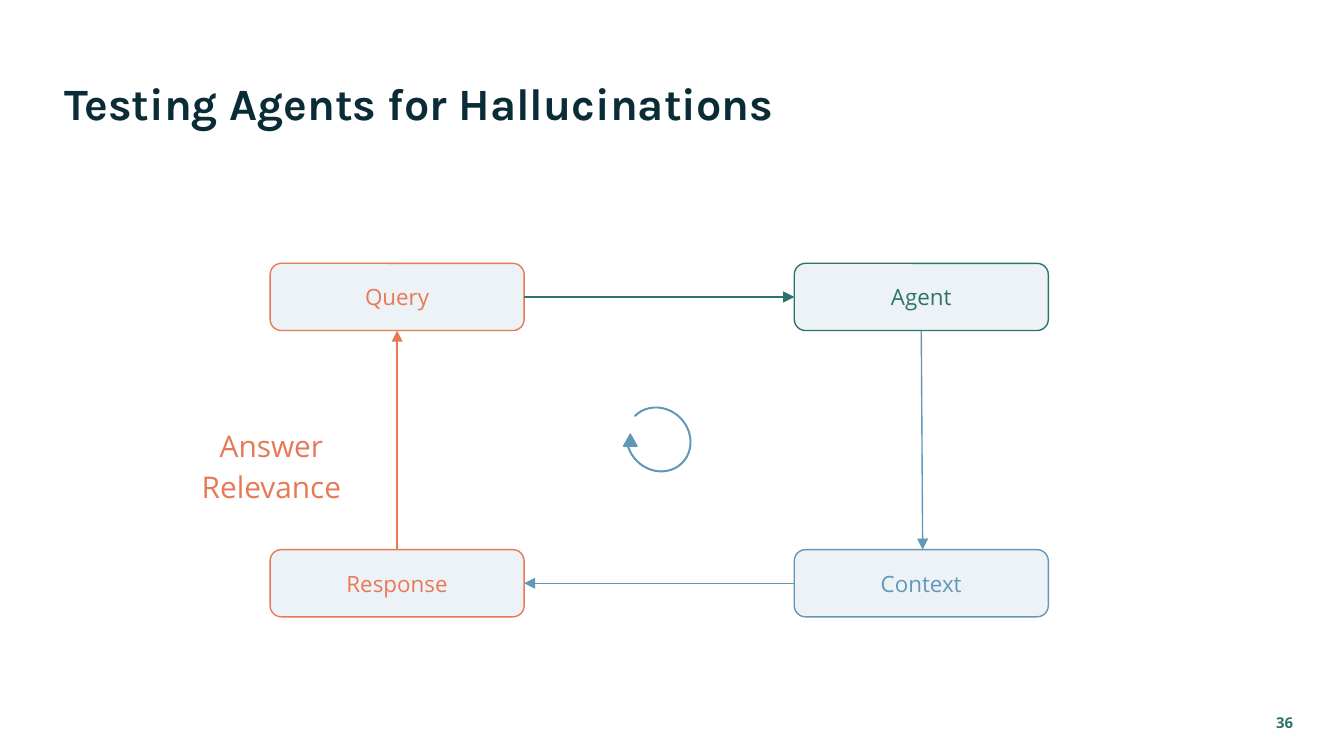
from lxml import etree
from pptx import Presentation
from pptx.dml.color import RGBColor
from pptx.enum.shapes import MSO_CONNECTOR, MSO_SHAPE as Shape
from pptx.enum.text import MSO_ANCHOR as Anchor, PP_ALIGN as Align
from pptx.oxml.ns import qn
from pptx.util import Inches, Pt

NAVY = RGBColor(0x0A, 0x2C, 0x37)
GREEN = RGBColor(0x2D, 0x73, 0x6D)
ORANGE = RGBColor(0xE7, 0x79, 0x56)
BLUE = RGBColor(0x61, 0x98, 0xB9)
PALE = RGBColor(0xED, 0xF2, 0xF6)

# A 16:9 slide
deck = Presentation()
deck.slide_width = Inches(10)
deck.slide_height = Inches(10 * 9 / 16)
slide = deck.slides.add_slide(deck.slide_layouts[6])

# Grid of the cycle: two columns, two rows
COLUMNS = (2.01, 5.91)
ROWS = (1.96, 4.09)
BOX_W, BOX_H = 1.89, 0.5
left_mid, right_mid = (x + BOX_W / 2 for x in COLUMNS)
top_mid, bottom_mid = (y + BOX_H / 2 for y in ROWS)


def write(shape, text, size, color, font="Open Sans", bold=False,
          align=Align.CENTER, anchor=Anchor.TOP):
    frame = shape.text_frame
    frame.word_wrap = True
    frame.vertical_anchor = anchor
    frame.margin_left = frame.margin_right = Inches(0.1)
    frame.margin_top = frame.margin_bottom = Inches(0.1)
    paragraph = frame.paragraphs[0]
    paragraph.alignment = align
    run = paragraph.add_run()
    run.text = text
    run.font.name, run.font.size, run.font.bold = font, Pt(size), bold
    run.font.color.rgb = color
    return paragraph


def add_outlined(kind, box, fill, line):
    shape = slide.shapes.add_shape(kind, *map(Inches, box))
    shape.shadow.inherit = False
    shape.fill.solid()
    shape.fill.fore_color.rgb = fill
    shape.line.color.rgb = line
    shape.line.width = Pt(0.75)
    return shape


# Title, side label and page number
title = slide.shapes.add_textbox(*map(Inches, (0.38, 0.46, 7.99, 0.63)))
write(title, "Testing Agents for Hallucinations", 24, NAVY, "Karla", True, Align.LEFT)
relevance = slide.shapes.add_textbox(*map(Inches, (1.1, 3.04, 1.84, 0.78)))
write(relevance, "Answer Relevance", 16, ORANGE).line_spacing = 1.15
page_number = slide.shapes.add_textbox(*map(Inches, (9.12, 5.16, 0.6, 0.43)))
write(page_number, "36", 8, GREEN, bold=True, align=Align.RIGHT, anchor=Anchor.MIDDLE)

# Steps of the cycle
for step, column, row, color in (
    ("Query", 0, 0, ORANGE),
    ("Agent", 1, 0, GREEN),
    ("Context", 1, 1, BLUE),
    ("Response", 0, 1, ORANGE),
):
    box = add_outlined(Shape.ROUNDED_RECTANGLE,
                       (COLUMNS[column], ROWS[row], BOX_W, BOX_H), PALE, color)
    write(box, step, 12, color, anchor=Anchor.MIDDLE)

# Arrows between the steps
for x1, y1, x2, y2, color in (
    (COLUMNS[0] + BOX_W, top_mid, COLUMNS[1], top_mid, GREEN),
    (right_mid, ROWS[0] + BOX_H, right_mid + 0.01, ROWS[1], BLUE),
    (COLUMNS[1], bottom_mid, COLUMNS[0] + BOX_W, bottom_mid, BLUE),
    (left_mid, ROWS[1], left_mid, ROWS[0] + BOX_H, ORANGE),
):
    arrow = slide.shapes.add_connector(
        MSO_CONNECTOR.STRAIGHT, *map(Inches, (x1, y1, x2, y2)))
    arrow.line.color.rgb = color
    arrow.line.width = Pt(0.75)
    etree.SubElement(arrow.line._get_or_add_ln(), qn("a:tailEnd"), type="triangle")
    etree.SubElement(arrow._element.spPr, qn("a:effectLst"))

# Loop sign in the centre
loop = add_outlined(Shape.BLOCK_ARC, (4.65, 3.04, 0.5, 0.46), BLUE, BLUE)
loop.rotation = 45
for index, value in enumerate((108, 73.04, 0.013)):
    loop.adjustments[index] = round(value, 2)
add_outlined(Shape.ISOSCELES_TRIANGLE, (4.64, 3.23, 0.1, 0.09), BLUE, BLUE)

deck.save("out.pptx")
